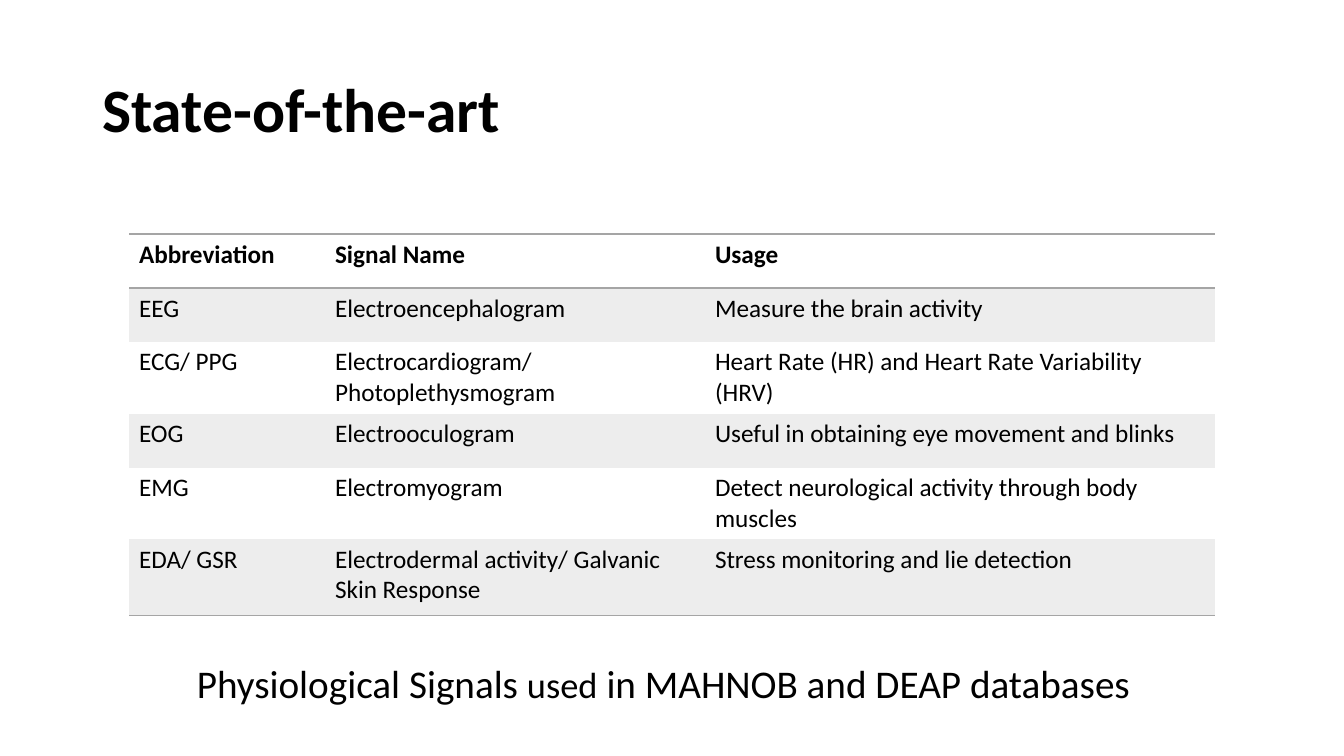
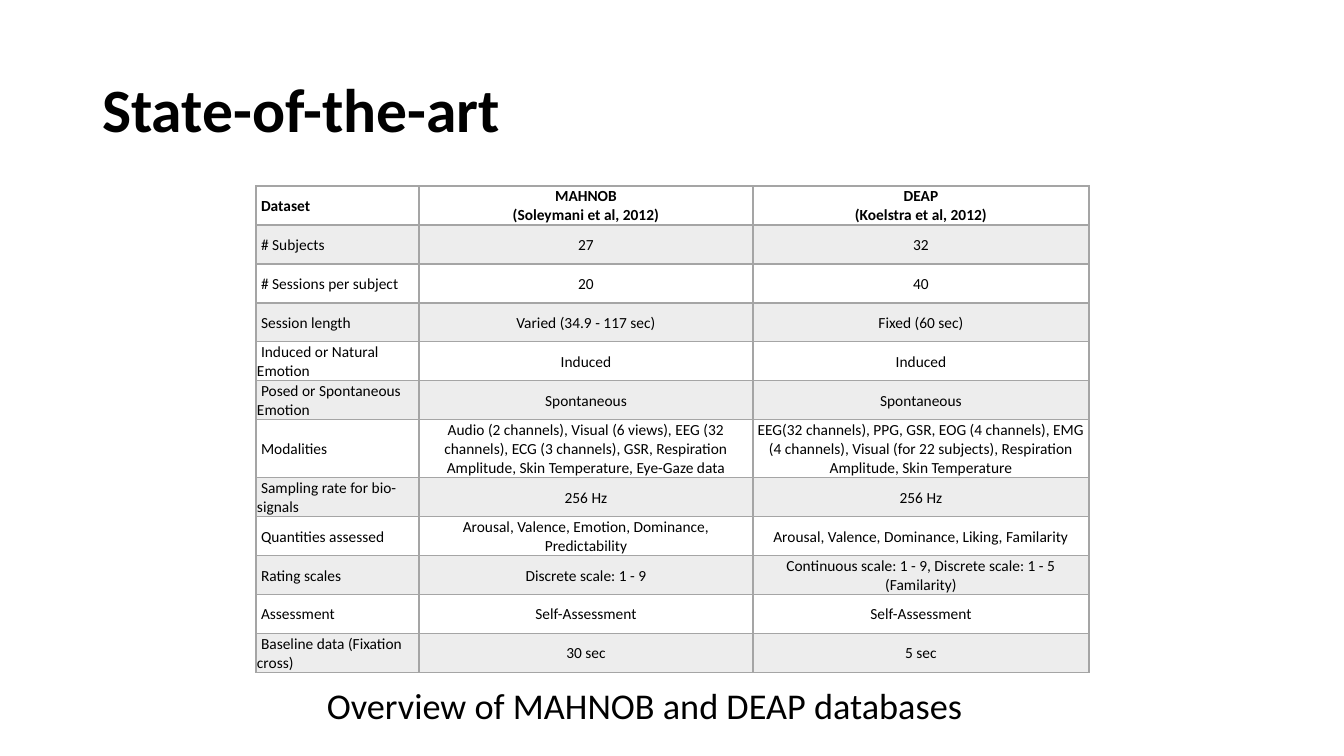
import lxml.etree
import pptx
import pptx.dml.color
import pptx.enum.text
import pptx.oxml.ns
import pptx.util

SCALE = 12192000 / 1344
COLORS = {"text": "000000", "rule": "A5A5A5", "band": "EDEDED"}
FONT = "Calibri"
PLAIN = "{2D5ABB26-0587-4C30-8999-92F81FD0307C}"
ALIGN = pptx.enum.text.PP_ALIGN
ANCHOR = pptx.enum.text.MSO_ANCHOR

SIGNALS = [
    ("Abbreviation", "Signal Name", "Usage"),
    ("EEG", "Electroencephalogram", "Measure the brain activity"),
    ("ECG/ PPG", "Electrocardiogram/ Photoplethysmogram",
     "Heart Rate (HR) and Heart Rate Variability (HRV)"),
    ("EOG", "Electrooculogram", "Useful in obtaining eye movement and blinks"),
    ("EMG", "Electromyogram", "Detect neurological activity through body muscles"),
    ("EDA/ GSR", "Electrodermal activity/ Galvanic Skin Response",
     "Stress monitoring and lie detection"),
]

DATASETS = [
    ("Dataset", "MAHNOB\n(Soleymani et al, 2012)", "DEAP\n(Koelstra et al, 2012)"),
    ("# Subjects", "27", "32"),
    ("# Sessions per subject", "20", "40"),
    ("Session length", "Varied (34.9 - 117 sec)", "Fixed (60 sec)"),
    ("Induced or Natural Emotion", "Induced", "Induced"),
    ("Posed or Spontaneous Emotion", "Spontaneous", "Spontaneous"),
    ("Modalities",
     "Audio (2 channels), Visual (6 views), EEG (32 channels), ECG (3 channels), "
     "GSR, Respiration Amplitude, Skin Temperature, Eye-Gaze data",
     "EEG(32 channels), PPG, GSR, EOG (4 channels), EMG (4 channels), "
     "Visual (for 22 subjects), Respiration Amplitude, Skin Temperature"),
    ("Sampling rate for bio-signals", "256 Hz", "256 Hz"),
    ("Quantities assessed", "Arousal, Valence, Emotion, Dominance, Predictability",
     "Arousal, Valence, Dominance, Liking, Familarity"),
    ("Rating scales", "Discrete scale: 1 - 9",
     "Continuous scale: 1 - 9, Discrete scale: 1 - 5 (Familarity)"),
    ("Assessment", "Self-Assessment", "Self-Assessment"),
    ("Baseline data (Fixation cross)", "30 sec", "5 sec"),
]


def px(n):
    return pptx.util.Emu(round(n * SCALE))


def color(name):
    return pptx.dml.color.RGBColor.from_string(COLORS[name])


def border(cell, side, width):
    """Rule one side (L, R, T or B) of a cell; call before filling it."""
    props = cell._tc.get_or_add_tcPr()
    tag = pptx.oxml.ns.qn
    line = lxml.etree.SubElement(props, tag("a:ln" + side), w=str(pptx.util.Pt(width)))
    fill = lxml.etree.SubElement(line, tag("a:solidFill"))
    lxml.etree.SubElement(fill, tag("a:srgbClr"), val=COLORS["rule"])


class Deck:
    """Shared style and the slide being built."""

    def __init__(self):
        self.show = pptx.Presentation()
        self.show.slide_width, self.show.slide_height = px(1344), px(756)
        self.slide = None

    def style(self, para, size, bold=False):
        font = para.font
        font.name, font.size, font.bold = FONT, pptx.util.Pt(size), bold
        font.color.rgb = color("text")

    def page(self, text):
        self.slide = self.show.slides.add_slide(self.show.slide_layouts[5])
        title = self.slide.shapes.title
        title.left, title.top, title.width, title.height = map(px, (92, 40, 1159, 146))
        frame = title.text_frame
        frame.text = text
        frame.vertical_anchor = ANCHOR.MIDDLE
        para = frame.paragraphs[0]
        para.alignment, para.line_spacing = ALIGN.LEFT, 0.9
        self.style(para, 44, True)

    def caption(self, box, parts, size, space):
        """Write a line of (text, own size or None) parts."""
        frame = self.slide.shapes.add_textbox(*map(px, box)).text_frame
        frame.word_wrap = True
        para = frame.paragraphs[0]
        para.line_spacing = space
        self.style(para, size)
        for text, own in parts:
            run = para.add_run()
            run.text = text
            if own:
                run.font.size = pptx.util.Pt(own)

    def table(self, left, top, cols, rows, data, size, grid=False):
        """Draw a banded table; grid rules, centres and tightens every cell."""
        box = map(px, (left, top, sum(cols), sum(rows)))
        table = self.slide.shapes.add_table(len(rows), len(cols), *box).table
        table.first_row = table.horz_banding = False
        table._tbl.tblPr.find(pptx.oxml.ns.qn("a:tableStyleId")).text = PLAIN
        for col, width in zip(table.columns, cols):
            col.width = px(width)
        for row, height in zip(table.rows, rows):
            row.height = px(height)
        for i, line in enumerate(data):
            for j, text in enumerate(line):
                cell = table.cell(i, j)
                cell.text = text
                if grid:
                    self.tighten(cell, j)
                for para in cell.text_frame.paragraphs:
                    self.style(para, size, i == 0)
                self.rule(cell, i, j, len(rows) - 1, grid)
                if i % 2:
                    cell.fill.solid()
                    cell.fill.fore_color.rgb = color("band")
                else:
                    cell.fill.background()

    def tighten(self, cell, col):
        cell.vertical_anchor = ANCHOR.MIDDLE
        cell.margin_left = cell.margin_right = cell.margin_top = px(1)
        cell.margin_bottom = 0
        for para in cell.text_frame.paragraphs:
            if col:
                para.alignment = ALIGN.CENTER
            else:
                para._p.get_or_add_pPr().set("indent", str(px(4)))

    def rule(self, cell, row, col, last, grid):
        if grid and col == 0:
            border(cell, "L", 1)
        if grid:
            border(cell, "R", 1)
        if row == 0:
            border(cell, "T", 1)
        if grid or row in (0, last):
            border(cell, "B", 2 if grid and row == 0 else 1)


def main():
    deck = Deck()
    deck.page("State-of-the-art")
    deck.table(129, 234, (196, 380, 510), (54, 54, 71, 54, 71, 76), SIGNALS, 18)
    deck.caption((187, 660, 969, 55),
                 [("Physiological Signals ", None), ("used", 26),
                  (" in MAHNOB and DEAP databases", None)], 28, 0.9)

    deck.page("State-of-the-art")
    deck.caption((317, 687, 711, 46),
                 [("Overview of MAHNOB and DEAP databases", None)], 25.9, 0.8)
    rows = [39] * 6 + [58] + [39] * 5
    deck.table(256, 186, (163, 334, 336), rows, DATASETS, 11, grid=True)
    deck.show.save("out.pptx")


if __name__ == "__main__":
    main()
